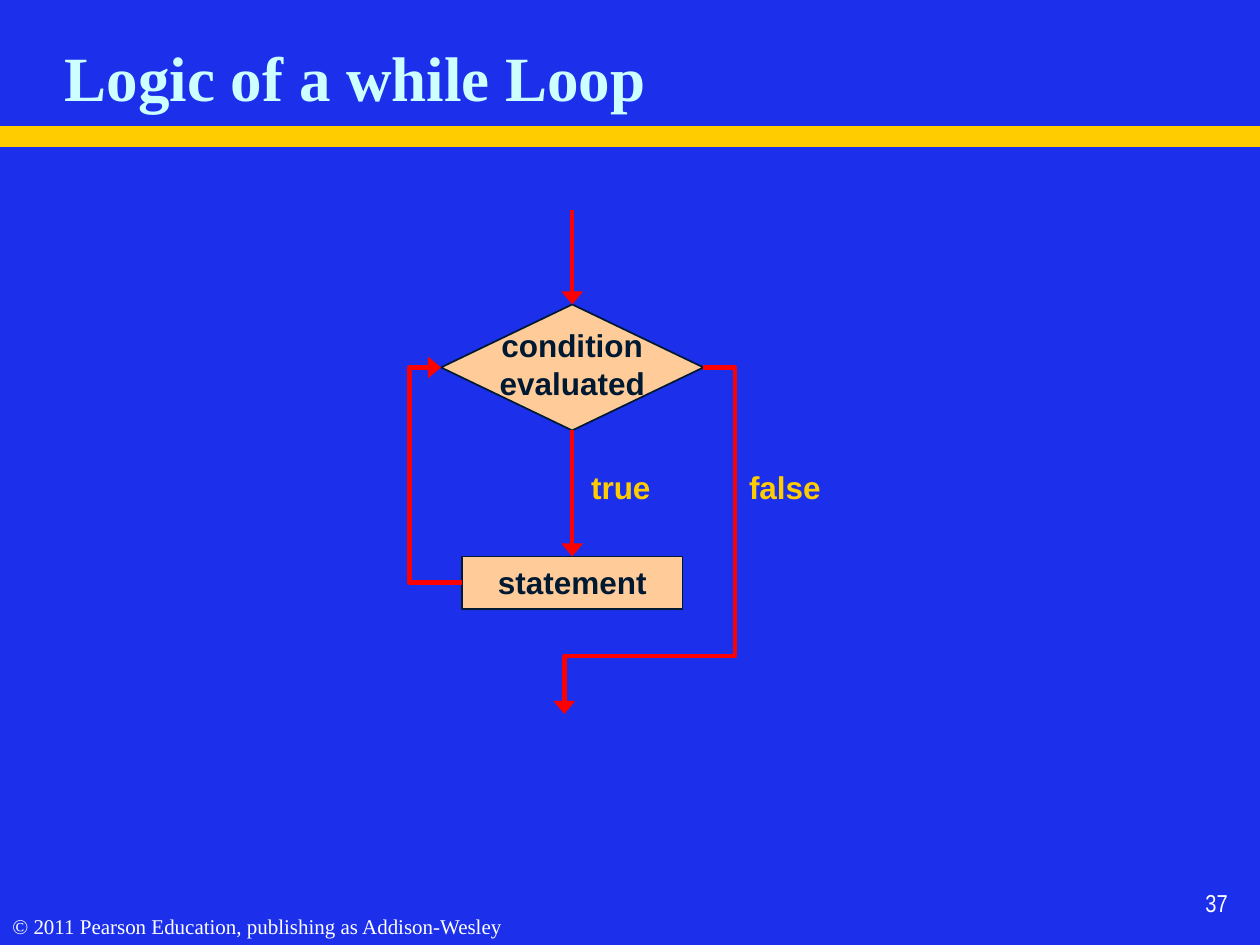
from dataclasses import dataclass

from lxml.etree import SubElement
from pptx import Presentation
from pptx.dml.color import RGBColor
from pptx.enum.shapes import MSO_CONNECTOR as Route, MSO_SHAPE as Preset
from pptx.enum.text import MSO_ANCHOR as Anchor, MSO_AUTO_SIZE as AutoSize, PP_ALIGN as Align
from pptx.oxml.ns import qn
from pptx.util import Emu, Pt

EMU_PER_PX = 9525


@dataclass(frozen=True)
class Theme:
    background: str = "1C30EC"
    gold: str = "FFCC00"
    title: str = "CCFFFF"
    white: str = "FFFFFF"
    peach: str = "FFCC99"
    ink: str = "001932"
    flow: str = "FF0000"
    title_size: int = 36
    label_size: int = 18
    number_size: int = 14
    footer_size: int = 12
    outline_width: float = 1
    flow_width: float = 2.5
    serif: str = "Times New Roman"
    sans: str = "Arial"
    narrow: str = "Arial Narrow"


THEME = Theme()


@dataclass(frozen=True)
class Area:
    left: int
    top: int
    width: int
    height: int

    def emu(self) -> list[Emu]:
        return [px(n) for n in (self.left, self.top, self.width, self.height)]


@dataclass(frozen=True)
class Label:
    text: str
    area: Area
    color: str = THEME.ink
    size: int = THEME.label_size
    font: str = THEME.sans
    bold: bool = True
    align: Align = Align.CENTER
    anchor: Anchor = Anchor.MIDDLE
    wrap: bool = False


@dataclass(frozen=True)
class Node:
    preset: Preset
    area: Area
    fill: str = THEME.peach
    outline: str | None = THEME.ink


@dataclass(frozen=True)
class Flow:
    """An arrow; joins are (node name, side), and bends are fractions of its size."""
    start: tuple[int, int]
    end: tuple[int, int]
    start_join: tuple[str, int] | None = None
    end_join: tuple[str, int] | None = None
    bends: tuple[float, ...] = ()


NODES = {
    "band": Node(Preset.RECTANGLE, Area(0, 96, 960, 16), THEME.gold, None),
    "statement": Node(Preset.RECTANGLE, Area(352, 424, 168, 40)),
    "condition": Node(Preset.DIAMOND, Area(336, 232, 200, 96)),
}

LABELS = [
    Label("Logic of a while Loop", Area(40, 20, 821, 72), THEME.title, THEME.title_size,
          THEME.serif, align=Align.LEFT, anchor=Anchor.BOTTOM, wrap=True),
    Label("statement", Area(366, 424, 140, 38)),
    Label("condition\nevaluated", Area(366, 244, 140, 67)),
    Label("true", Area(437, 352, 72, 38), THEME.gold),
    Label("false", Area(558, 352, 80, 38), THEME.gold),
    Label("37", Area(745, 656, 200, 48), THEME.white, THEME.number_size, THEME.narrow,
          False, Align.RIGHT, Anchor.BOTTOM, True),
    Label("© 2011 Pearson Education, publishing as Addison-Wesley", Area(0, 691, 410, 29),
          THEME.white, THEME.footer_size, THEME.serif, False, Align.LEFT, Anchor.TOP, True),
]

FLOWS = [
    Flow((436, 160), (436, 232), end_join=("condition", 0)),
    Flow((436, 328), (436, 424), ("condition", 2), ("statement", 0)),
    Flow((352, 444), (336, 280), ("statement", 1), ("condition", 1), (2.5,)),
    Flow((536, 280), (430, 544), ("condition", 3), bends=(-24 / 106, 220 / 264)),
]


def px(length: int) -> Emu:
    return Emu(length * EMU_PER_PX)


def rgb(color: str) -> RGBColor:
    return RGBColor.from_string(color)


def draw_node(page, node: Node):
    shape = page.shapes.add_shape(node.preset, *node.area.emu())
    shape.shadow.inherit = False
    shape.fill.solid()
    shape.fill.fore_color.rgb = rgb(node.fill)
    if node.outline:
        shape.line.color.rgb = rgb(node.outline)
        shape.line.width = Pt(THEME.outline_width)
    else:
        shape.line.fill.background()
    return shape


def draw_label(page, label: Label) -> None:
    box = page.shapes.add_textbox(*label.area.emu())
    frame = box.text_frame
    frame.text = label.text
    frame.word_wrap = label.wrap
    frame.auto_size = AutoSize.NONE if label.wrap else AutoSize.SHAPE_TO_FIT_TEXT
    frame.vertical_anchor = label.anchor
    for para in frame.paragraphs:
        para.alignment = label.align
        for span in para.runs:
            span.font.name = label.font
            span.font.size = Pt(label.size)
            span.font.bold = label.bold
            span.font.color.rgb = rgb(label.color)


def draw_flow(page, flow: Flow, shapes: dict) -> None:
    route = Route.ELBOW if flow.bends else Route.STRAIGHT
    arrow = page.shapes.add_connector(route, *map(px, flow.start + flow.end))
    if flow.start_join:
        name, side = flow.start_join
        arrow.begin_connect(shapes[name], side)
    if flow.end_join:
        name, side = flow.end_join
        arrow.end_connect(shapes[name], side)
    arrow.line.color.rgb = rgb(THEME.flow)
    arrow.line.width = Pt(THEME.flow_width)
    properties = arrow.element.spPr
    SubElement(properties.find(qn("a:ln")), qn("a:tailEnd"), type="triangle", w="lg", len="med")
    SubElement(properties, qn("a:effectLst"))
    if flow.bends:
        bend_elbow(properties.find(qn("a:prstGeom")), flow.bends)


def bend_elbow(geometry, bends: tuple[float, ...]) -> None:
    geometry.set("prst", f"bentConnector{len(bends) + 2}")
    guides = geometry.find(qn("a:avLst"))
    if guides is None:
        guides = SubElement(geometry, qn("a:avLst"))
    for number, bend in enumerate(bends, 1):
        SubElement(guides, qn("a:gd"), name=f"adj{number}", fmla=f"val {round(bend * 100000)}")


def main() -> None:
    deck = Presentation()
    deck.slide_width, deck.slide_height = px(960), px(720)
    page = deck.slides.add_slide(deck.slide_layouts[6])
    page.background.fill.solid()
    page.background.fill.fore_color.rgb = rgb(THEME.background)
    shapes = {name: draw_node(page, node) for name, node in NODES.items()}
    for label in LABELS:
        draw_label(page, label)
    for flow in FLOWS:
        draw_flow(page, flow, shapes)
    deck.save("out.pptx")


if __name__ == "__main__":
    main()
